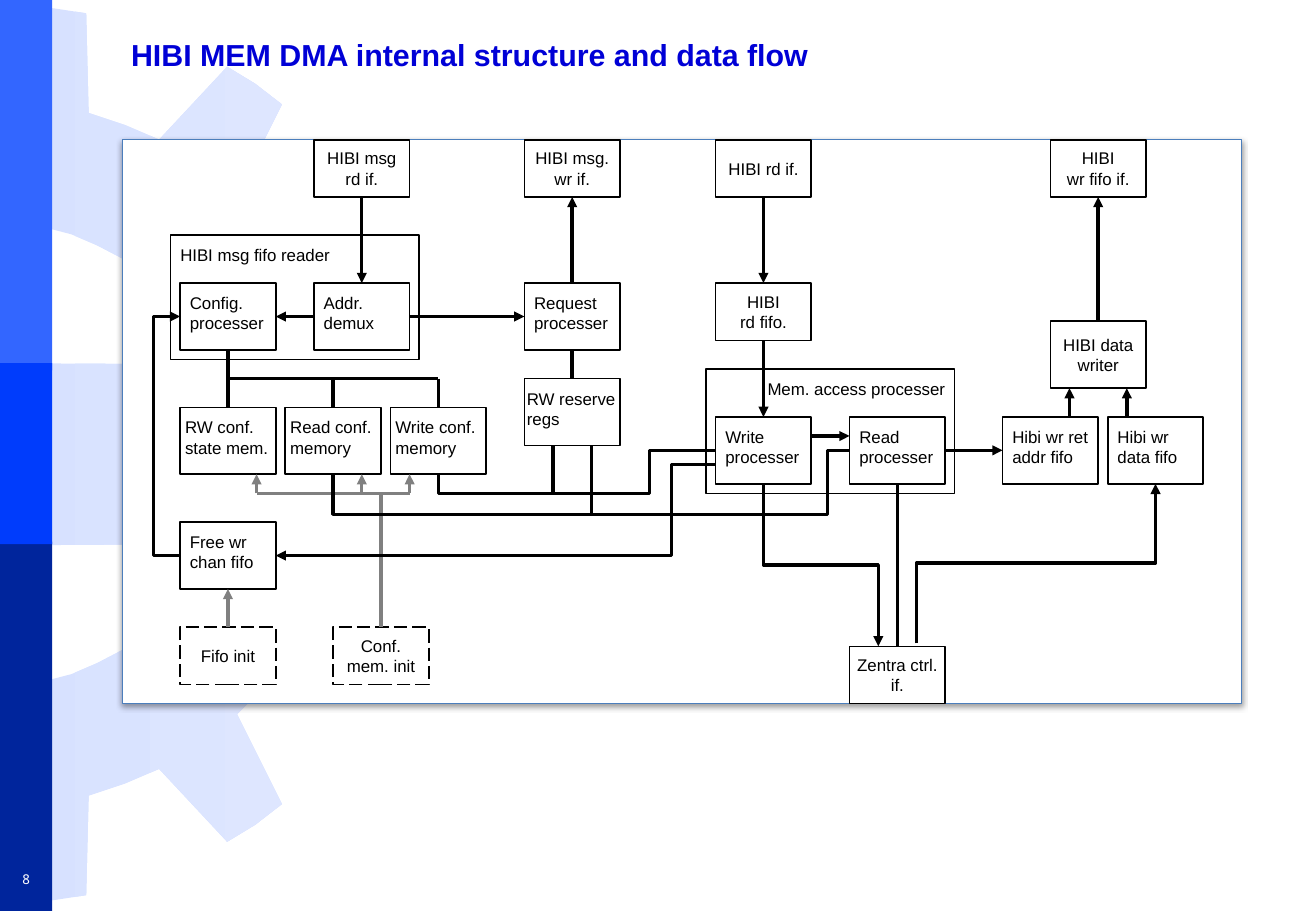
from math import cos, radians, sin
from pptx import Presentation
from pptx.dml.color import RGBColor
from pptx.enum.dml import MSO_LINE
from pptx.enum.shapes import MSO_CONNECTOR as LINK, MSO_SHAPE as SHAPE
from pptx.enum.text import MSO_ANCHOR as ANCHOR, PP_ALIGN as ALIGN
from pptx.oxml import parse_xml
from pptx.oxml.ns import nsdecls, qn
from pptx.util import Inches, Pt
from lxml.etree import SubElement

COLORS = {key: RGBColor.from_string(value) for key, value in {
    "white": "FFFFFF", "black": "000000", "grey": "808080", "title": "0000D6",
    "panel": "4B7EBC", "top": "3366FF", "middle": "003CFC", "bottom": "00259C",
    "gear_left": "D7E1FF", "gear_right": "E3EAFF"}.items()}
CELL = 0.0787  # the diagram sits on a 2 mm grid
ORIGIN_X, ORIGIN_Y = 1.01, 1.15
TOP, LEFT, BOTTOM, RIGHT = range(4)

prs = Presentation()
prs.slide_width, prs.slide_height = Inches(10.83), Inches(7.5)
slide = prs.slides.add_slide(prs.slide_layouts[6])
shapes = slide.shapes


def grid(col, row):
    return Inches(ORIGIN_X + col * CELL), Inches(ORIGIN_Y + row * CELL)


def wire(kind, start, end, arrow=True, color="black"):
    """Draw a line; each end is a grid point or a (block name, side) pair."""
    joined = [isinstance(tip[0], str) for tip in (start, end)]
    points = [(0, 0) if name else grid(*tip) for name, tip in zip(joined, (start, end))]
    link = shapes.add_connector(kind, *points[0], *points[1])
    if joined[0]:
        link.begin_connect(blocks[start[0]], start[1])
    if joined[1]:
        link.end_connect(blocks[end[0]], end[1])
    link.line.color.rgb = COLORS[color]
    link.line.width = Pt(2)
    if arrow:
        SubElement(link.line._get_or_add_ln(), qn("a:tailEnd"), type="triangle")
    SubElement(link._element.spPr, qn("a:effectLst"))
    return link


# Background gear: the right half of a 13-tooth wheel, centred on the slide's left edge
PITCH = 360 / 13
TIP, ROOT, HOLE, AXIS = 3.7, 2.9, 1.9, 3.74  # radii and centre height, in inches
SPOKE = 0.75  # half the width of the spoke
TOOTH = [(PITCH / 2, ROOT), (7.7, ROOT), (4.2, TIP), (0, TIP), (-4.2, TIP), (-7.7, ROOT)]
polar = [(angle, HOLE) for angle in range(23, 87, 7)]
polar += [(tooth * PITCH + offset, radius) for tooth in range(3, -4, -1)
          for offset, radius in TOOTH if abs(tooth * PITCH + offset) < 90]
polar += [(-angle, HOLE) for angle in range(86, 22, -7)]
rim = [(radius * cos(radians(angle)), AXIS + radius * sin(radians(angle)))
       for angle, radius in polar]
rim += [(0, AXIS - SPOKE), (0, AXIS + SPOKE)]
hundredths = [(x * 100, y * 100) for x, y in rim]
outline = shapes.build_freeform(*hundredths[0], scale=Inches(0.01))
outline.add_line_segments(hundredths[1:], close=True)
gear = outline.convert_to_shape()
gear.shadow.inherit = False
gear.line.fill.background()
gear.fill.gradient()
gear.fill.gradient_angle = 0
for stop, tint in zip(gear.fill.gradient_stops, ("gear_left", "gear_right")):
    stop.color.rgb = COLORS[tint]

# Side band
for tint, top, height in (("top", 0, 3.05), ("bottom", 4.46, 3.04), ("middle", 2.99, 1.49)):
    band = shapes.add_shape(SHAPE.RECTANGLE, 0, Inches(top), Inches(0.43), Inches(height))
    band.shadow.inherit = False
    band.fill.solid()
    band.fill.fore_color.rgb = COLORS[tint]
    band.line.fill.background()

# Title and page number
for text, place, size, font, tint, bold, align in (
        ("HIBI MEM DMA internal structure and data flow", (0.98, 0.21, 9.39, 0.47),
         18, "Arial", "title", True, ALIGN.LEFT),
        ("8", (0, 7.11, 0.43, 0.26), 8, "Noto Sans Mono", "white", False, ALIGN.CENTER)):
    label = shapes.add_textbox(*map(Inches, place)).text_frame
    label.word_wrap = True
    label.vertical_anchor = ANCHOR.MIDDLE
    label.text = text
    line = label.paragraphs[0]
    line.alignment = align
    line.font.size, line.font.name, line.font.bold = Pt(size), font, bold
    line.font.color.rgb = COLORS[tint]

# Diagram panel
panel = shapes.add_shape(SHAPE.RECTANGLE, *grid(0, 0), Inches(117 * CELL), Inches(59 * CELL))
panel.fill.solid()
panel.fill.fore_color.rgb = COLORS["white"]
panel.line.color.rgb = COLORS["panel"]
panel.line.width = Pt(0.75)
panel._element.spPr.append(parse_xml(
    f'<a:effectLst {nsdecls("a")}><a:outerShdw blurRad="{Pt(3.1)}" dist="{Pt(1.6)}" '
    'dir="5400000" rotWithShape="0"><a:srgbClr val="000000"><a:alpha val="38000"/>'
    '</a:srgbClr></a:outerShdw></a:effectLst>'))

# Blocks by kind: (columns wide, rows high, alignment, side inset), then name, column, row, text
C, L, R = ALIGN.CENTER, ALIGN.LEFT, ALIGN.RIGHT
KINDS = [
    ((26, 13, L, 0.08), [("msg reader", 5, 10, "HIBI msg fifo reader")]),
    ((26, 13, R, 0.08), [("mem access", 61, 24, "Mem. access processer")]),
    ((10, 6, C, 0), [  # bus interfaces
        ("msg rd", 20, 0, "HIBI msg\nrd if."), ("msg wr", 42, 0, "HIBI msg.\nwr if."),
        ("rd", 62, 0, "HIBI rd if."), ("wr fifo", 97, 0, "HIBI\nwr fifo if."),
        ("rd fifo", 62, 15, "HIBI\nrd fifo.")]),
    ((10, 7, L, 0.08), [  # processing units and fifos
        ("config", 6, 15, "Config. processer"), ("demux", 20, 15, "Addr. demux"),
        ("request", 42, 15, "Request processer"), ("write", 62, 29, "Write processer"),
        ("read", 76, 29, "Read processer"), ("ret addr", 92, 29, "Hibi wr ret addr fifo"),
        ("data fifo", 103, 29, "Hibi wr data fifo"), ("free chan", 6, 40, "Free wr chan fifo")]),
    ((10, 7, L, 0.04), [  # configuration memories
        ("rw conf", 6, 28, "RW conf. state mem."), ("read conf", 17, 28, "Read conf. memory"),
        ("write conf", 28, 28, "Write conf. memory")]),
    ((10, 7, L, 0.02), [("rw regs", 42, 25, "RW reserve regs")]),
    ((10, 7, C, 0.08), [("data writer", 97, 19, "HIBI data writer")]),
    ((10, 6, C, 0.08), [("fifo init", 6, 51, "Fifo init"), ("mem init", 22, 51, "Conf. mem. init")]),
    ((10, 6, C, 0.04), [("ctrl", 76, 53, "Zentra ctrl. if.")])]
blocks = {}
for (wide, high, align, inset), members in KINDS:
    for name, col, row, text in members:
        block = blocks[name] = shapes.add_shape(
            SHAPE.RECTANGLE, *grid(col, row), Inches(wide * CELL), Inches(high * CELL))
        block.shadow.inherit = False
        block.fill.solid()
        block.fill.fore_color.rgb = COLORS["white"]
        block.line.color.rgb = COLORS["black"]
        block.line.width = Pt(1)
        if name.endswith("init"):
            block.line.dash_style = MSO_LINE.LONG_DASH
        frame = block.text_frame
        frame.word_wrap = True
        frame.vertical_anchor = ANCHOR.MIDDLE if align == C else ANCHOR.TOP
        frame.margin_left = frame.margin_right = Inches(inset)
        frame.margin_top = frame.margin_bottom = Inches(0.08 if inset else 0)
        frame.text = text
        for line in frame.paragraphs:
            line.alignment = align
            line.font.size, line.font.name = Pt(10), "Arial"
            line.font.color.rgb = COLORS["black"]

# Grid rows that the shared lines run along
CONF_BUS, WRITE_BUS, READ_BUS = 25, 37, 39.2
INIT_BUS, MEMORY_FOOT = 37, 35

# Initialisation lines
init_links = [(("fifo init", TOP), ("free chan", BOTTOM), True),
              (("mem init", TOP), (27, INIT_BUS), False),
              ((30, INIT_BUS), (14, INIT_BUS), False)]
init_links += [((col, INIT_BUS), (col, MEMORY_FOOT), True) for col in (14, 25, 30)]
for start, end, arrow in init_links:
    wire(LINK.STRAIGHT, start, end, arrow, "grey")

# Data flow arrows
for start, end in [
        (("msg rd", BOTTOM), ("demux", TOP)), (("request", TOP), ("msg wr", BOTTOM)),
        (("rd", BOTTOM), ("rd fifo", TOP)), (("rd fifo", BOTTOM), ("write", TOP)),
        (("demux", LEFT), ("config", RIGHT)), (("demux", RIGHT), ("request", LEFT)),
        (("read", RIGHT), ("ret addr", LEFT)), (("data writer", TOP), ("wr fifo", BOTTOM)),
        ((72, 31), (76, 31)), ((99, 29), (99, 26)), ((105, 29), (105, 26))]:
    wire(LINK.STRAIGHT, start, end)

# Plain links and the configuration bus
for start, end in [
        (("config", BOTTOM), ("rw conf", TOP)), ((11, CONF_BUS), (33, CONF_BUS)),
        ((22, CONF_BUS), ("read conf", TOP)), ((33, CONF_BUS), ("write conf", TOP)),
        (("request", BOTTOM), ("rw regs", TOP)), ((45, 32), (45, WRITE_BUS)),
        ((49, 32), (49, READ_BUS)), (("read", BOTTOM), ("ctrl", TOP))]:
    wire(LINK.STRAIGHT, start, end, False)

# Bent links: start, end, arrow, leaves vertically, then the columns and rows they turn at
for start, end, arrow, vertical, lanes in [
        ((6.1, 43.5), (6, 18.5), True, False, (3.2,)),
        ((62, 32.5), (33, MEMORY_FOOT), False, False, (55.1, WRITE_BUS)),
        ((76, 32.5), (22, MEMORY_FOOT), False, False, (73.7, READ_BUS)),
        ((62, 34), (16, 43.5), True, False, (57.4,)),
        ((67, 36), (79, 53), True, True, (44.5,)),
        ((83, 52.7), (108, 36), True, True, (44.3,))]:
    axes = (1,) if vertical else (0, 1)
    shares = [(lane - start[axis]) / (end[axis] - start[axis]) for axis, lane in zip(axes, lanes)]
    if vertical:  # turn the end points a quarter about their centre
        mid_x, mid_y = (start[0] + end[0]) / 2, (start[1] + end[1]) / 2
        half_x, half_y = end[0] - mid_x, end[1] - mid_y
        start, end = (mid_x + half_y, mid_y - half_x), (mid_x - half_y, mid_y + half_x)
    bent = wire(LINK.ELBOW, start, end, arrow)._element.spPr
    if vertical:
        bent.find(qn("a:xfrm")).set("rot", str(270 * 60000))
    geometry = bent.find(qn("a:prstGeom"))
    geometry.set("prst", f"bentConnector{len(shares) + 2}")
    guides = geometry.find(qn("a:avLst"))
    for number, share in enumerate(shares, 1):
        SubElement(guides, qn("a:gd"), name=f"adj{number}", fmla=f"val {share * 100000:.0f}")

prs.save("out.pptx")
